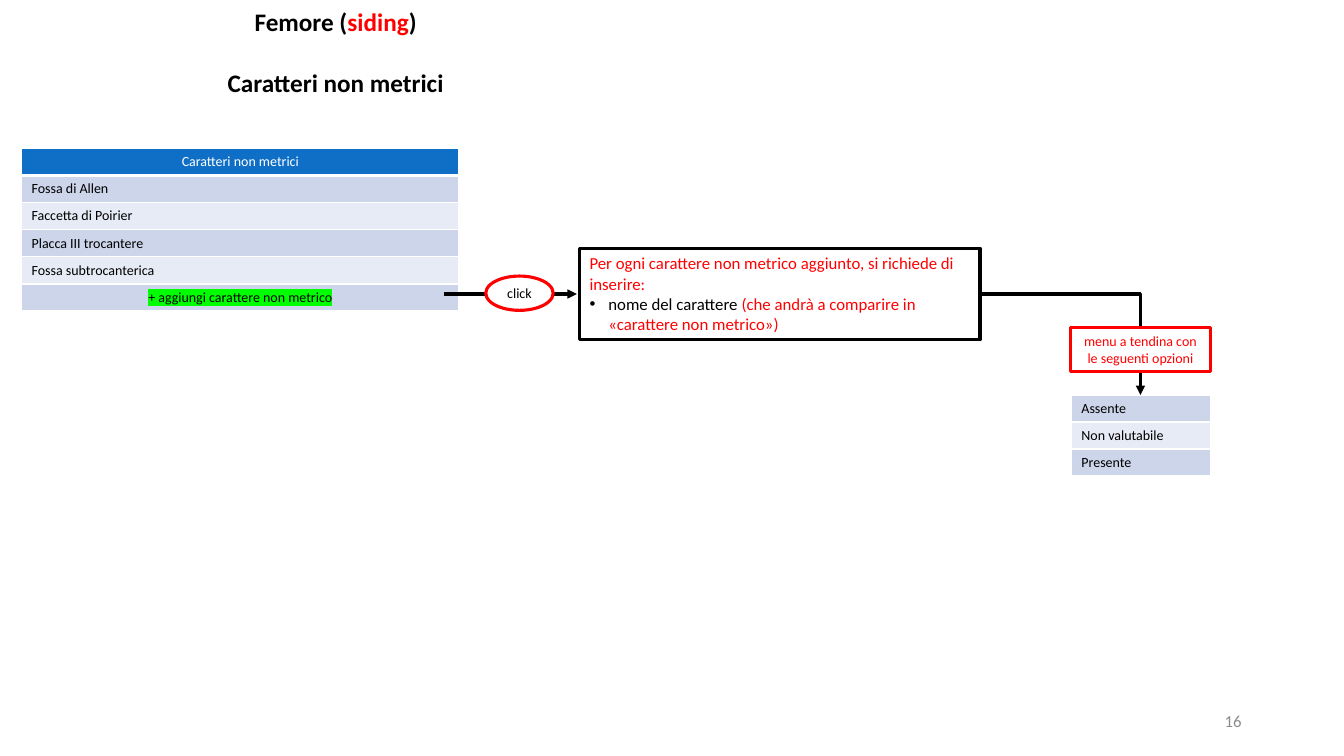
from lxml import etree
from pptx import Presentation
from pptx.dml.color import RGBColor
from pptx.enum import shapes, text
from pptx.oxml import ns
from pptx.util import Emu, Pt

BLACK = RGBColor(0, 0, 0)
WHITE = RGBColor(255, 255, 255)
RED = RGBColor(255, 0, 0)
GREY = RGBColor(0x8C, 0x8C, 0x8C)
HEADER_BLUE = RGBColor(0x0F, 0x6F, 0xC6)
BANDS = [RGBColor(0xCC, 0xD5, 0xEA), RGBColor(0xE7, 0xEB, 0xF5)]
HIGHLIGHT = RGBColor(0, 255, 0)
FONT = "Calibri"
ROW_HEIGHT = 19.2
LEFT, CENTER, RIGHT = text.PP_ALIGN.LEFT, text.PP_ALIGN.CENTER, text.PP_ALIGN.RIGHT
MIDDLE, TOP = text.MSO_ANCHOR.MIDDLE, text.MSO_ANCHOR.TOP


def add_element(parent, tag, **attributes):
    return etree.SubElement(parent, ns.qn(tag), attributes)


def write(paragraph, runs, size, align=LEFT, bold=False):
    """Fill a paragraph with (wording, colour) runs."""
    paragraph.alignment = align
    for wording, color in runs:
        run = paragraph.add_run()
        run.text = wording
        run.font.name, run.font.size, run.font.bold = FONT, Pt(size), bold
        run.font.color.rgb = color


def add_text(slide, box, anchor=TOP):
    text_frame = slide.shapes.add_textbox(*map(Pt, box)).text_frame
    text_frame.word_wrap = True
    text_frame.vertical_anchor = anchor
    return text_frame


def add_outlined(slide, kind, box, color, fill=None, anchor=TOP):
    shape = slide.shapes.add_shape(kind, *map(Pt, box))
    shape.shadow.inherit = False
    shape.line.color.rgb, shape.line.width = color, Pt(2.25)
    if fill is None:
        shape.fill.background()
    else:
        shape.fill.solid()
        shape.fill.fore_color.rgb = fill
    shape.text_frame.word_wrap = True
    shape.text_frame.vertical_anchor = anchor
    return shape


def add_arrow(slide, kind, start, end):
    arrow = slide.shapes.add_connector(kind, *map(Pt, start + end))
    arrow.line.color.rgb, arrow.line.width = BLACK, Pt(2.25)
    add_element(arrow.line._get_or_add_ln(), "a:tailEnd", type="triangle")
    add_element(arrow._element.spPr, "a:effectLst")
    return arrow


def set_borders(cell, bottom):
    properties = cell._tc.get_or_add_tcPr()
    for index, (side, width) in enumerate(zip("LRTB", (1, 1, 1, bottom))):
        border = etree.Element(ns.qn(f"a:ln{side}"), w=str(Pt(width)))
        fill = add_element(border, "a:solidFill")
        add_element(fill, "a:srgbClr", val=str(WHITE))
        properties.insert(index, border)


def add_list_table(slide, left, top, width, items, header=None, anchor=TOP):
    """One-column banded table, with an optional header row."""
    rows = ([header] if header else []) + items
    frame = slide.shapes.add_table(len(rows), 1, Pt(left), Pt(top), Pt(width),
                                   Pt(ROW_HEIGHT * len(rows)))
    first_item = len(rows) - len(items)
    for index, wording in enumerate(rows):
        is_header = index < first_item
        cell = frame.table.cell(index, 0)
        cell.vertical_anchor = anchor
        cell.fill.solid()
        cell.fill.fore_color.rgb = HEADER_BLUE if is_header else BANDS[(index - first_item) % 2]
        set_borders(cell, 3 if is_header else 1)
        write(cell.text_frame.paragraphs[0], [(wording, WHITE if is_header else BLACK)],
              10, CENTER if is_header else LEFT)
    return frame.table


def add_title(slide, box):
    text_frame = add_text(slide, box)
    write(text_frame.paragraphs[0], [("Femore (", BLACK), ("siding", RED), (")", BLACK)],
          18, CENTER, True)
    subtitle = text_frame.add_paragraph()
    subtitle.space_before = Pt(22)
    write(subtitle, [("Caratteri non metrici", BLACK)], 18, CENTER, True)


def add_traits(slide, left, top, width):
    table = add_list_table(
        slide, left, top, width,
        ["Fossa di Allen", "Faccetta di Poirier", "Placca III trocantere",
         "Fossa subtrocanterica", "+ aggiungi carattere non metrico"],
        "Caratteri non metrici", MIDDLE)
    # Highlighted button row
    button = table.cell(5, 0).text_frame.paragraphs[0]
    button.alignment = CENTER
    highlight = etree.Element(ns.qn("a:highlight"))
    add_element(highlight, "a:srgbClr", val=str(HIGHLIGHT))
    button.runs[0]._r.rPr.find(ns.qn("a:solidFill")).addnext(highlight)


def add_click_arrow(slide, left, middle, width):
    add_arrow(slide, shapes.MSO_CONNECTOR.STRAIGHT, (left, middle), (left + width, middle))
    click = add_outlined(slide, shapes.MSO_SHAPE.OVAL, (left + 29.5, middle - 12.8, 48.2, 24.5),
                         RED, WHITE, MIDDLE)
    click.text_frame.margin_left = click.text_frame.margin_right = 0
    write(click.text_frame.paragraphs[0], [("click", BLACK)], 10, CENTER)


def add_request(slide, box):
    request = add_outlined(slide, shapes.MSO_SHAPE.RECTANGLE, box, BLACK)
    write(request.text_frame.paragraphs[0],
          [("Per ogni carattere non metrico aggiunto, si richiede di inserire:", RED)], 12)
    bullet = request.text_frame.add_paragraph()
    properties = bullet._p.get_or_add_pPr()
    properties.set("marL", str(Pt(13.5)))
    properties.set("indent", str(Pt(-13.5)))
    add_element(properties, "a:buFont", typeface="Arial")
    add_element(properties, "a:buChar", char="•")
    write(bullet, [("nome del carattere ", BLACK),
                   ("(che andrà a comparire in «carattere non metrico»)", RED)], 12)
    return request


def add_options(slide, left, top, width, request):
    """Drop-down values, reached from the request box by a bent arrow."""
    table_top = top + 48.2
    add_list_table(slide, left + 0.7, table_top, width - 0.7,
                   ["Assente", "Non valutabile", "Presente"])
    start = (Emu(request.left + request.width).pt, Emu(request.top + request.height // 2).pt)
    arrow = add_arrow(slide, shapes.MSO_CONNECTOR.ELBOW, start, (left + width / 2, table_top))
    arrow._element.spPr.find(ns.qn("a:prstGeom")).set("prst", "bentConnector2")
    arrow.begin_connect(request, 3)
    menu = add_outlined(slide, shapes.MSO_SHAPE.RECTANGLE, (left, top, width, 31.7), RED, WHITE)
    write(menu.text_frame.paragraphs[0], [("menu a tendina con le seguenti opzioni", RED)],
          10, CENTER)


def add_page_number(slide, box):
    write(add_text(slide, box, MIDDLE).paragraphs[0], [("16", GREY)], 12, RIGHT)


def main():
    presentation = Presentation()
    presentation.slide_width, presentation.slide_height = Pt(960), Pt(540)
    slide = presentation.slides.add_slide(presentation.slide_layouts[6])
    add_traits(slide, 15.4, 106, 312.5)
    add_title(slide, (0, 0.7, 479.5, 94.3))
    add_page_number(slide, (678, 500.4, 216, 28.8))
    add_click_arrow(slide, 317.5, 210, 94.5)
    request = add_request(slide, (414, 177.25, 286, 65.5))
    add_options(slide, 764.6, 234, 100, request)
    presentation.save("out.pptx")


if __name__ == "__main__":
    main()
